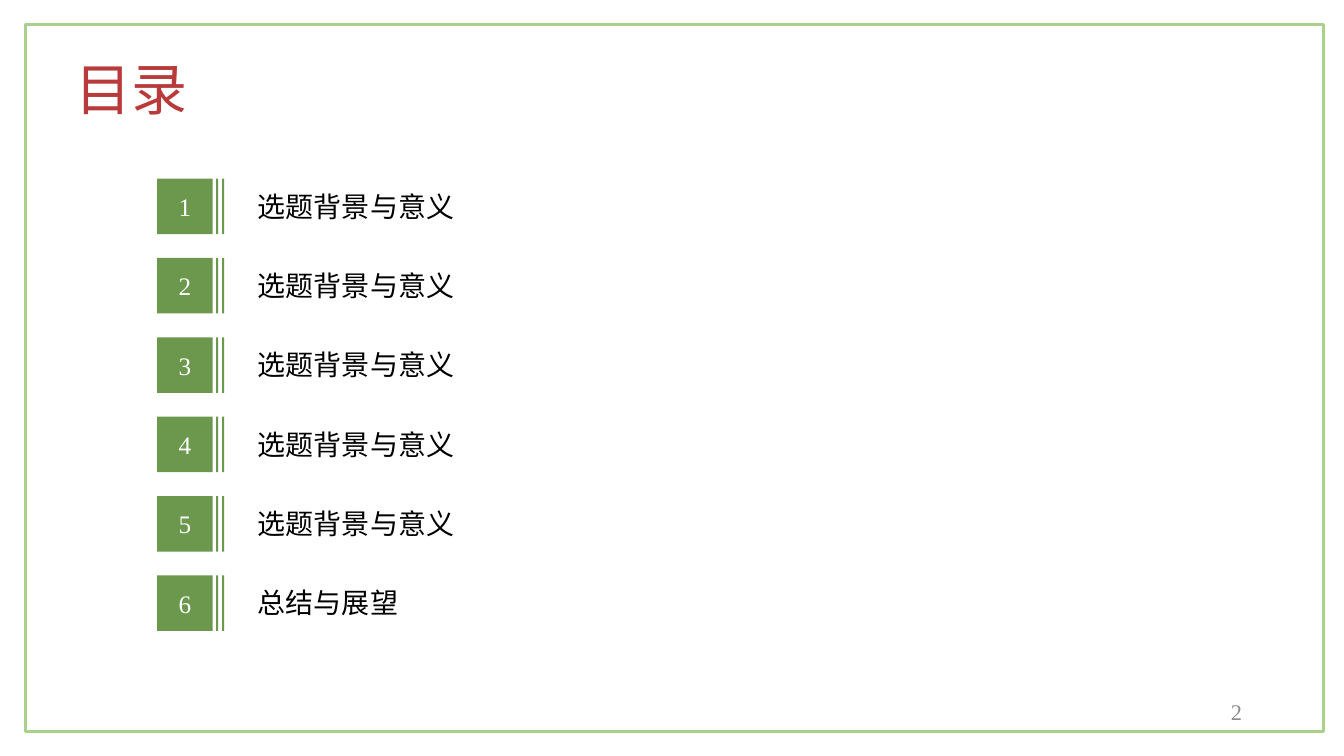
from lxml import etree
from pptx import Presentation
from pptx.dml import color
from pptx.enum import shapes, text
from pptx.oxml import ns
from pptx.util import Cm, Pt

GREEN = "6B984D"
FRAME_GREEN = "A9D18E"
RED = "B93A3A"
GREY = "8C8C8C"
SERIF = "Times New Roman"
SANS = "Noto Sans CJK SC"
TOPICS = ["选题背景与意义"] * 5 + ["总结与展望"]


def rgb(value):
    return color.RGBColor.from_string(value)


def write(shape, words, size, font_name, hex_color,
          align=text.PP_ALIGN.LEFT, anchor=text.MSO_ANCHOR.TOP):
    frame = shape.text_frame
    frame.text = words
    frame.word_wrap = True
    frame.auto_size = text.MSO_AUTO_SIZE.NONE
    frame.vertical_anchor = anchor
    paragraph = frame.paragraphs[0]
    paragraph.alignment = align
    font = paragraph.runs[0].font
    font.size = Pt(size)
    font.color.rgb = rgb(hex_color)
    font.name = font_name
    properties = paragraph.runs[0]._r.get_or_add_rPr()
    east_asian = etree.SubElement(properties, ns.qn("a:ea"))
    east_asian.set("typeface", font_name)


def add_rectangle(slide, left, top, width, height, fill=None):
    shape = slide.shapes.add_shape(
        shapes.MSO_SHAPE.RECTANGLE, Cm(left), Cm(top), Cm(width), Cm(height))
    shape.shadow.inherit = False
    if fill:
        shape.fill.solid()
        shape.fill.fore_color.rgb = rgb(fill)
        shape.line.fill.background()
    else:
        shape.fill.background()
    return shape


def add_frame(slide, left, top, width, height):
    border = add_rectangle(slide, left, top, width, height)
    border.line.color.rgb = rgb(FRAME_GREEN)
    border.line.width = Pt(2)


def add_title(slide, left, top, width, height):
    title = slide.shapes.title
    title.left, title.top = Cm(left), Cm(top)
    title.width, title.height = Cm(width), Cm(height)
    write(title, "目录", 40, SANS, RED)


def add_entry(slide, left, top, width, size, number, topic):
    badge = add_rectangle(slide, left, top, size, size, GREEN)
    write(badge, str(number), 18, SERIF, "FFFFFF",
          text.PP_ALIGN.CENTER, text.MSO_ANCHOR.MIDDLE)
    for offset in (0.09, 0.24):
        add_rectangle(slide, left + size + offset, top, 0.05, size, GREEN)
    indent = 2.29
    label = slide.shapes.add_textbox(
        Cm(left + indent), Cm(top + 0.14), Cm(width - indent), Cm(1.12))
    write(label, topic, 20, SANS, "000000")


def add_contents(slide, left, top, width, pitch):
    for index, topic in enumerate(TOPICS):
        add_entry(slide, left, top + index * pitch, width, 1.4, index + 1, topic)


def add_page_number(slide, left, top, width, height):
    box = slide.shapes.add_textbox(Cm(left), Cm(top), Cm(width), Cm(height))
    write(box, "2", 16, SERIF, GREY,
          text.PP_ALIGN.RIGHT, text.MSO_ANCHOR.MIDDLE)


def main():
    presentation = Presentation()
    presentation.slide_width = Cm(33.87)
    presentation.slide_height = Cm(19.05)
    slide = presentation.slides.add_slide(presentation.slide_layouts[5])
    add_frame(slide, 0.64, 0.61, 32.72, 17.83)
    add_title(slide, 1.65, 1.24, 5.11, 1.96)
    add_contents(slide, 3.96, 4.5, 12.55, 2)
    add_page_number(slide, 23.93, 17.42, 7.62, 1.02)
    presentation.save("out.pptx")


if __name__ == "__main__":
    main()
